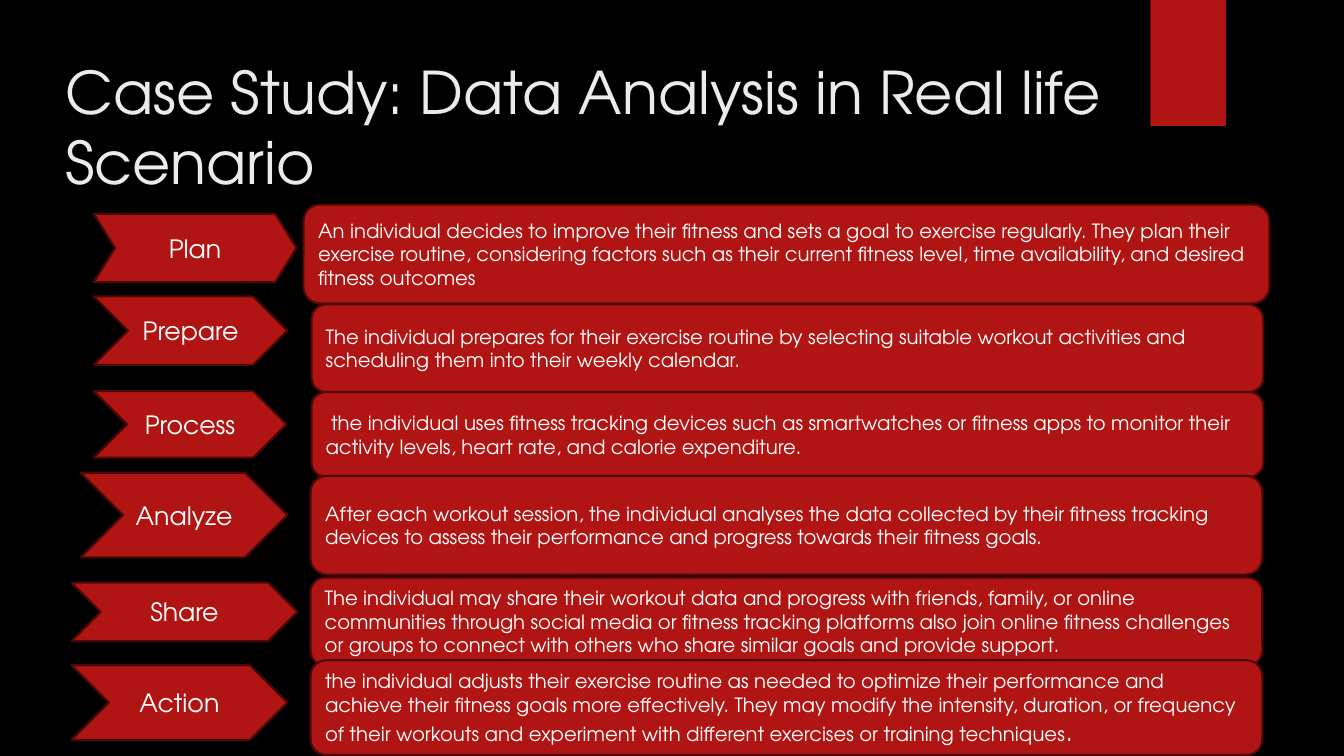
from dataclasses import dataclass

from pptx import Presentation
from pptx.dml.color import RGBColor
from pptx.enum.shapes import MSO_SHAPE as Preset
from pptx.enum.text import MSO_ANCHOR as Anchor, PP_ALIGN as Align
from pptx.shapes.autoshape import Shape
from pptx.slide import Slide
from pptx.text.text import _Paragraph as Paragraph
from pptx.util import Emu, Pt

EMU_PER_PX = 9144
FONT = "TeX Gyre Adventor"
BLACK, RED, DARK_RED = "000000", "B01513", "4D0908"
WHITE, PALE = "FFFFFF", "EBEBEB"


@dataclass(frozen=True)
class Area:
    """A rectangle in px, at 100 px to the inch."""
    left: int
    top: int
    width: int
    height: int


@dataclass(frozen=True)
class Span:
    """A stretch of text in one size."""
    text: str
    size: int = 14


@dataclass(frozen=True)
class Stage:
    """A named step of the case study and its description."""
    name: str
    arrow: Area
    card: Area
    spans: tuple[Span, ...]
    notch: float = 0.5


STAGES = (
    Stage("Plan", Area(93, 212, 201, 68), Area(301, 203, 958, 98), (
        Span("An individual decides to improve their fitness and sets a goal to exercise "
             "regularly. They plan their exercise routine, considering factors such as their "
             "current fitness level, time availability, and desired fitness outcomes"),),
          notch=0.31),
    Stage("Prepare", Area(93, 294, 192, 68), Area(309, 302, 944, 87), (
        Span("The individual prepares for their exercise routine by selecting suitable "
             "workout activities and scheduling them into their weekly calendar."),)),
    Stage("Process", Area(93, 388, 191, 66), Area(309, 389, 944, 84), (
        Span(" the individual uses fitness tracking devices such as smartwatches or fitness "
             "apps to monitor their activity levels, heart rate, and calorie expenditure."),)),
    Stage("Analyze", Area(80, 469, 205, 84), Area(308, 472, 944, 98), (
        Span("After each workout session, the individual analyses the data collected by their "
             "fitness tracking devices to assess their performance and progress towards their "
             "fitness goals."),)),
    Stage("Share", Area(71, 578, 224, 58), Area(308, 573, 944, 87), (
        Span("The individual may share their workout data and progress with friends, family, "
             "or online communities through social media or fitness tracking platforms also "
             "join online fitness challenges or groups to connect with others who share "
             "similar goals and provide support."),)),
    Stage("Action", Area(71, 660, 214, 74), Area(308, 655, 944, 94), (
        Span("the individual adjusts their exercise routine as needed to optimize their "
             "performance and achieve their fitness goals more effectively. They may modify "
             "the intensity, duration, or frequency of their workouts and experiment with "
             "different exercises or training techniques"),
        Span(".", 18))),
)


def px(length: int) -> Emu:
    """Turn px into EMU."""
    return Emu(length * EMU_PER_PX)


def color(code: str) -> RGBColor:
    """Turn a hex string into a colour."""
    return RGBColor.from_string(code)


def place(area: Area) -> tuple[Emu, Emu, Emu, Emu]:
    """Give the position and size of an area in EMU."""
    return px(area.left), px(area.top), px(area.width), px(area.height)


def add_span(para: Paragraph, span: Span, ink: str = WHITE) -> None:
    """Append one run to a paragraph."""
    run = para.add_run()
    run.text = span.text
    run.font.name = FONT
    run.font.size = Pt(span.size)
    run.font.color.rgb = color(ink)


def add_block(page: Slide, preset: Preset, area: Area) -> Shape:
    """Draw a red shape without outline or shadow."""
    block = page.shapes.add_shape(preset, *place(area))
    block.shadow.inherit = False
    block.fill.solid()
    block.fill.fore_color.rgb = color(RED)
    block.line.fill.background()
    return block


def add_text_block(page: Slide, preset: Preset, area: Area,
                   spans: tuple[Span, ...], align: Align) -> Shape:
    """Draw an outlined red shape with vertically centred text."""
    block = add_block(page, preset, area)
    block.line.color.rgb = color(DARK_RED)
    block.line.width = Pt(1.5)
    frame = block.text_frame
    frame.word_wrap = True
    frame.vertical_anchor = Anchor.MIDDLE
    para = frame.paragraphs[0]
    para.alignment = align
    for span in spans:
        add_span(para, span)
    return block


def add_title(page: Slide) -> None:
    """Write the two-line heading."""
    frame = page.shapes.add_textbox(*place(Area(55, 50, 1113, 109))).text_frame
    frame.word_wrap = True
    para = frame.paragraphs[0]
    add_span(para, Span("Case Study: Data Analysis in Real life", 42), PALE)
    para.add_line_break()
    add_span(para, Span("Scenario", 42), PALE)


def add_arrow(page: Slide, stage: Stage) -> None:
    """Draw the chevron that names a stage."""
    arrow = add_text_block(page, Preset.CHEVRON, stage.arrow,
                           (Span(stage.name, 18),), Align.CENTER)
    arrow.adjustments[0] = stage.notch


def add_card(page: Slide, stage: Stage) -> None:
    """Draw the rounded card that describes a stage."""
    add_text_block(page, Preset.FLOWCHART_ALTERNATE_PROCESS, stage.card,
                   stage.spans, Align.LEFT)


def main() -> None:
    """Build and save the slide."""
    deck = Presentation()
    deck.slide_width, deck.slide_height = px(1333), px(750)
    page = deck.slides.add_slide(deck.slide_layouts[6])
    page.background.fill.solid()
    page.background.fill.fore_color.rgb = color(BLACK)
    add_block(page, Preset.RECTANGLE, Area(1141, 0, 75, 125))
    add_title(page)
    for stage in STAGES:
        add_arrow(page, stage)
    for stage in STAGES:
        add_card(page, stage)
    deck.save("out.pptx")


if __name__ == "__main__":
    main()
